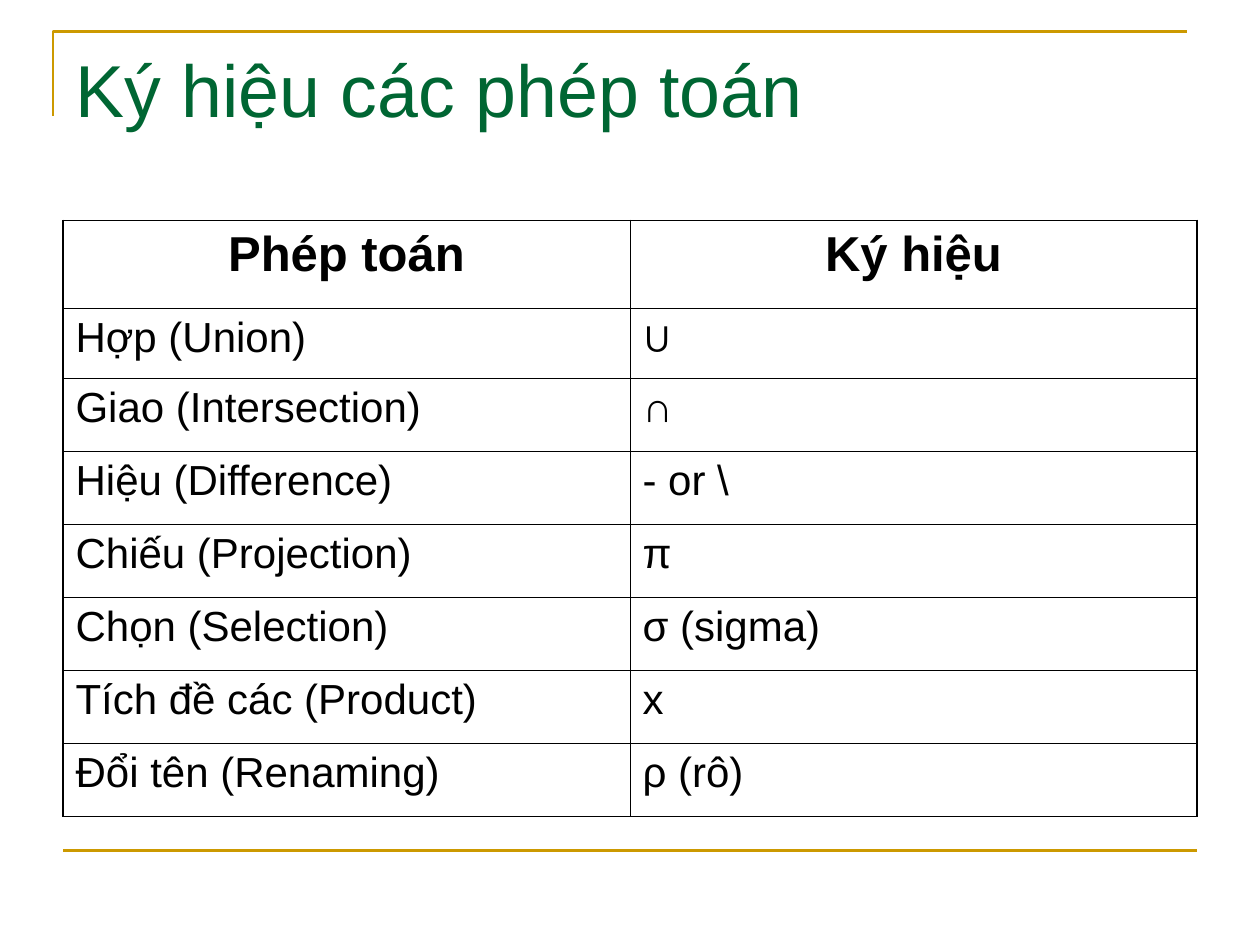
from lxml.etree import SubElement
from pptx import Presentation
from pptx.dml.color import RGBColor
from pptx.enum.shapes import MSO_CONNECTOR
from pptx.enum.text import MSO_ANCHOR, PP_ALIGN
from pptx.oxml.ns import qn
from pptx.util import Inches, Pt

GOLD = RGBColor(0xCC, 0x99, 0x00)
GREEN = RGBColor(0x00, 0x66, 0x33)
BLACK = RGBColor(0x00, 0x00, 0x00)

FONT = "Arial"
OUTER_BORDER = Pt(1.08)
INNER_BORDER = Pt(0.45)

OPERATIONS = [
    ("Phép toán", "Ký hiệu"),
    ("Hợp (Union)", "∪"),
    ("Giao (Intersection)", "∩"),
    ("Hiệu (Difference)", "- or \\"),
    ("Chiếu (Projection)", "π"),
    ("Chọn (Selection)", "σ (sigma)"),
    ("Tích đề các (Product)", "x"),
    ("Đổi tên (Renaming)", "ρ (rô)"),
]
ROW_HEIGHTS = [0.7, 0.55] + [0.58] * 6


def style_paragraph(paragraph, size, color, bold=False):
    paragraph.font.name = FONT
    paragraph.font.size = Pt(size)
    paragraph.font.bold = bold
    paragraph.font.color.rgb = color


def style_rule(shape):
    shape.line.color.rgb = GOLD
    shape.line.width = Pt(1.5)


def add_corner_rule(slide):
    builder = slide.shapes.build_freeform(Inches(0.42), Inches(0.92))
    builder.add_line_segments(
        [(Inches(0.42), Inches(0.25)), (Inches(9.42), Inches(0.25))], close=False
    )
    shape = builder.convert_to_shape()
    shape.fill.background()
    shape.shadow.inherit = False
    style_rule(shape)


def add_bottom_rule(slide):
    connector = slide.shapes.add_connector(
        MSO_CONNECTOR.STRAIGHT, Inches(0.5), Inches(6.75), Inches(9.5), Inches(6.75)
    )
    style_rule(connector)
    SubElement(connector._element.spPr, qn("a:effectLst"))


def set_title(slide, text):
    title = slide.shapes.title
    title.left, title.top = Inches(0.5), Inches(0.3)
    title.width, title.height = Inches(9), Inches(1.25)
    title.text_frame.text = text
    title.text_frame.vertical_anchor = MSO_ANCHOR.TOP
    paragraph = title.text_frame.paragraphs[0]
    paragraph.alignment = PP_ALIGN.LEFT
    style_paragraph(paragraph, 42, GREEN)


def set_borders(cell, outer_sides):
    """Draw the four cell borders, heavier on the outer sides of the table."""
    properties = cell._tc.get_or_add_tcPr()
    for side in ("L", "R", "T", "B"):
        width = OUTER_BORDER if side in outer_sides else INNER_BORDER
        line = SubElement(properties, qn(f"a:ln{side}"), w=str(width))
        fill = SubElement(line, qn("a:solidFill"))
        SubElement(fill, qn("a:srgbClr"), val=str(BLACK))


def add_operations_table(slide):
    row_count, column_count = len(OPERATIONS), len(OPERATIONS[0])
    table = slide.shapes.add_table(
        row_count, column_count, Inches(0.5), Inches(1.75), Inches(9), Inches(4.75)
    ).table
    table.first_row = table.horz_banding = False

    for row, height in zip(table.rows, ROW_HEIGHTS):
        row.height = Inches(height)

    for row_index, values in enumerate(OPERATIONS):
        is_header = row_index == 0
        for column_index, value in enumerate(values):
            cell = table.cell(row_index, column_index)
            cell.text = value
            paragraph = cell.text_frame.paragraphs[0]
            paragraph.alignment = PP_ALIGN.CENTER if is_header else PP_ALIGN.LEFT
            style_paragraph(paragraph, 28 if is_header else 24, BLACK, is_header)

            outer_sides = "L" if column_index == 0 else "R"
            if is_header:
                outer_sides += "T"
            elif row_index == row_count - 1:
                outer_sides += "B"
            set_borders(cell, outer_sides)
            cell.fill.background()


def main():
    presentation = Presentation()
    presentation.slide_width, presentation.slide_height = Inches(10), Inches(7.5)
    slide = presentation.slides.add_slide(presentation.slide_layouts[5])

    # Decorative rules
    add_corner_rule(slide)
    add_bottom_rule(slide)

    # Content
    set_title(slide, "Ký hiệu các phép toán")
    add_operations_table(slide)

    presentation.save("out.pptx")


if __name__ == "__main__":
    main()
